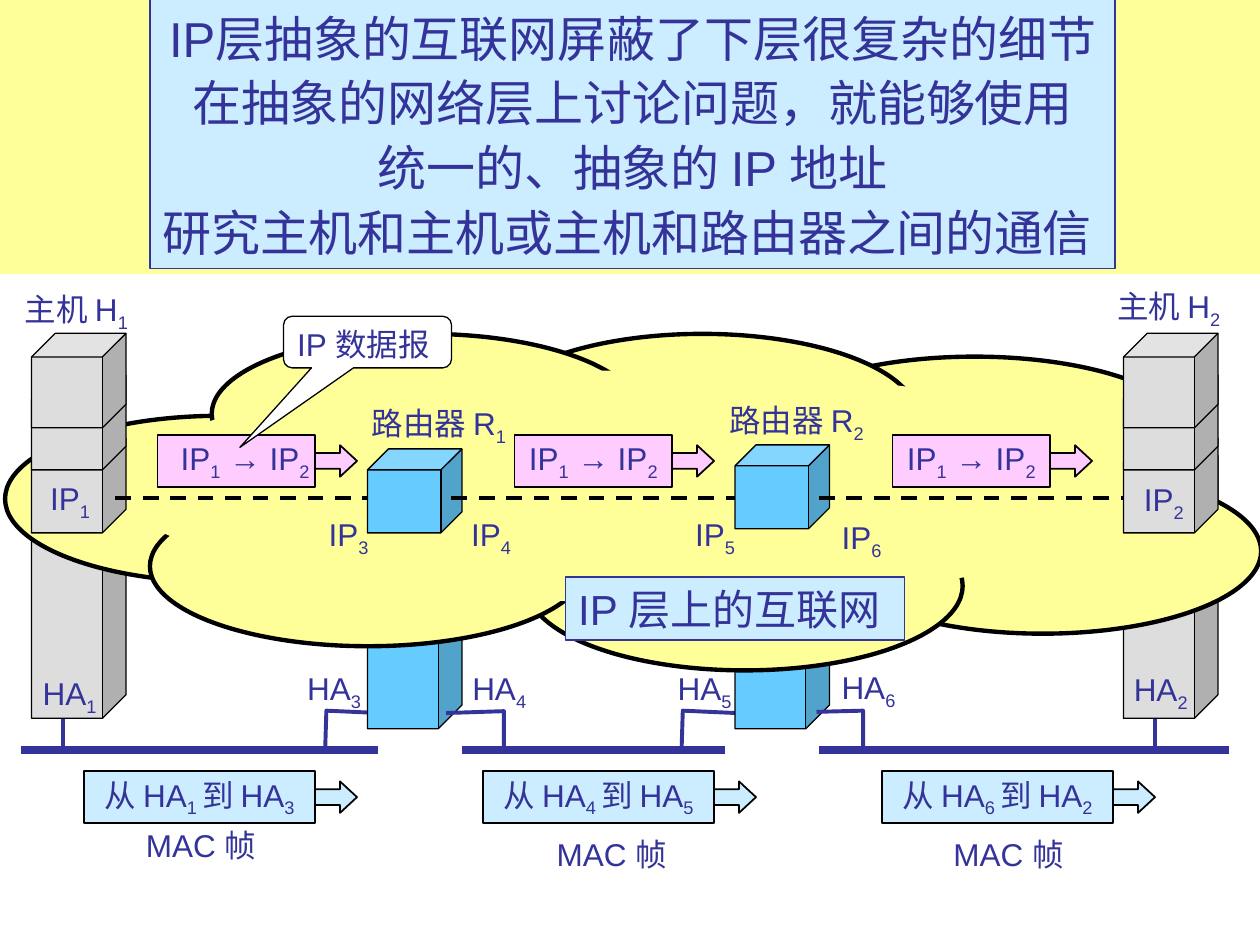
from lxml import etree
from pptx import Presentation
from pptx.dml.color import RGBColor
from pptx.enum import dml, shapes, text
from pptx.oxml import ns
from pptx.util import Pt

COLORS = {
    "ink": "333399", "black": "000000", "white": "FFFFFF", "grey": "DDDDDD",
    "router": "66CCFF", "cloud": "FFFF99", "packet": "FFCCFF", "frame": "CCECFF",
}
SHAPE = shapes.MSO_SHAPE
NO_FIT = text.MSO_AUTO_SIZE.NONE
TOP, MIDDLE = text.MSO_ANCHOR.TOP, text.MSO_ANCHOR.MIDDLE
LEFT, CENTER = text.PP_ALIGN.LEFT, text.PP_ALIGN.CENTER
CUBE_WIDTH = 54
WIRE_Y = 428.4
PATH_Y = 284.4

TITLE_LINES = [
    "IP层抽象的互联网屏蔽了下层很复杂的细节",
    "在抽象的网络层上讨论问题，就能够使用",
    "统一的、抽象的 IP 地址",
    "研究主机和主机或主机和路由器之间的通信 ",
]
HOSTS = [18, 642]
ROUTERS = [(210, 256.5, 266.4, 150), (420, 254.2, 284.4, 132)]
CLOUD_PUFFS = [
    (470.9, 267.8, 249.8, 94.3), (2.9, 237.6, 245.5, 95),
    (432, 203.8, 249.8, 91.4), (301, 286.6, 249.1, 96.5),
    (85.7, 277.9, 249.1, 91.4), (278.6, 190.8, 245.5, 95),
    (121, 190.8, 244.8, 91.4),
]
CLOUD_CENTER = (68.4, 211.7, 595.4, 132.5)
HOST_TAPS = [36, 660]
LEFT_TAPS = [
    [(185.8, WIRE_Y), (186.5, 406.1), (217.4, 407.5)],
    [(389.5, WIRE_Y), (390.2, 406.1), (421.2, 407.5)],
]
RIGHT_TAPS = [
    [(288, WIRE_Y), (288, 406.4), (254.9, 407.5)],
    [(493.2, WIRE_Y), (493.2, 406.1), (466.6, 406.8)],
]
WIRES = [(12, 216), (264, 414), (468, 702)]
DASHES = [(66, 216), (258, 420), (468, 642)]
LABELS = {
    (36.7, 31.7): [
        ("IP|1", 21.6, 270), ("IP|2", 646.6, 270.7), ("IP|3", 180.7, 290.9),
        ("IP|4", 262.1, 290.9), ("IP|5", 390.2, 290.9), ("IP|6", 473.8, 292.3),
    ],
    (45.4, 31.7): [
        ("HA|1", 17.3, 381.6), ("HA|2", 640.8, 379.4), ("HA|3", 168.5, 378.7),
        ("HA|4", 262.8, 378.7), ("HA|5", 380.2, 378.7), ("HA|6", 473.8, 378),
    ],
    (77, 31.7): [("主机 H|1", 7.2, 162), ("主机 H|2", 631.4, 160.6)],
    (95, 31.7): [("路由器 R|1", 205.2, 227.5), ("路由器 R|2", 409.7, 225.4)],
    (81.4, 28.8): [
        ("MAC 帧", 76.3, 468.7), ("MAC 帧", 311, 473.8), ("MAC 帧", 537.8, 473.8),
    ],
}
PACKETS = [(90, 17.2), (294, 7.2), (510, 7.2)]
FRAMES = [(48, 1, 3), (276, 4, 5), (504, 6, 2)]


def apply_format(target, values):
    for name, value in values.items():
        setattr(target, name, value)


def color(name):
    return RGBColor.from_string(COLORS[name])


def paint(shape, fill, line=None, width=0.75):
    if fill:
        shape.fill.solid()
        shape.fill.fore_color.rgb = color(fill)
    else:
        shape.fill.background()
    if line:
        shape.line.color.rgb = color(line)
        shape.line.width = Pt(width)
    else:
        shape.line.fill.background()


def write(shape, lines, frame_format, paragraph_format, size=18):
    frame = shape.text_frame
    apply_format(frame, {"word_wrap": False, "auto_size": NO_FIT, **frame_format})
    for index, line in enumerate(lines):
        paragraph = frame.add_paragraph() if index else frame.paragraphs[0]
        apply_format(paragraph, paragraph_format)
        for part, content in enumerate(line.split("|")):
            run = paragraph.add_run()
            run.text = content
            apply_format(run.font, {"name": "Arial", "size": Pt(size), "bold": False})
            run.font.color.rgb = color("ink")
            if part % 2:
                run._r.get_or_add_rPr().set("baseline", "-25000")


def add_block(parent, kind, box, fill, line=None, width=0.75, adjustments=()):
    shape = parent.shapes.add_shape(kind, *map(Pt, box))
    shape.shadow.inherit = False
    for index, value in enumerate(adjustments):
        shape.adjustments[index] = value
    paint(shape, fill, line, width)
    return shape


def add_cube(slide, box, fill):
    add_block(slide, SHAPE.CUBE, box, fill, "black", adjustments=[0.25])


def add_line(slide, start, end, name, width, dash=None):
    connector = slide.shapes.add_connector(
        shapes.MSO_CONNECTOR.STRAIGHT, *map(Pt, start + end))
    connector.line.color.rgb = color(name)
    apply_format(connector.line, {"width": Pt(width), "dash_style": dash})
    etree.SubElement(connector._element.spPr, ns.qn("a:effectLst"))


def add_tap(slide, points):
    start, *rest = [(Pt(x), Pt(y)) for x, y in points]
    builder = slide.shapes.build_freeform(*start)
    builder.add_line_segments(rest, close=False)
    tap = builder.convert_to_shape()
    tap.shadow.inherit = False
    paint(tap, None, "ink", 2.25)


def add_label(slide, content, box):
    label = slide.shapes.add_textbox(*map(Pt, box))
    write(label, [content], {"word_wrap": True, "margin_right": Pt(0)},
          {"alignment": LEFT})


def add_message(slide, content, left, top, width, fill, margin=7.2):
    group = slide.shapes.add_group_shape()
    body = add_block(group, SHAPE.RECTANGLE, (left, top, width, 30), fill, "black", 1)
    write(body, [content],
          {"vertical_anchor": MIDDLE, "margin_left": Pt(margin)}, {"alignment": CENTER})
    add_block(group, SHAPE.RIGHT_ARROW, (left + width, top + 6, 24, 18),
              fill, "black", 1, [0.5, 0.54])


def add_cloud(slide):
    group = slide.shapes.add_group_shape()
    for puff in CLOUD_PUFFS:
        add_block(group, SHAPE.OVAL, puff, "cloud", "black", 2.5)
    add_block(group, SHAPE.OVAL, CLOUD_CENTER, "cloud")


def add_lower_stacks(slide):
    for points in LEFT_TAPS:
        add_tap(slide, points)
    for x in HOST_TAPS:
        add_line(slide, (x, WIRE_Y), (x, 386.6), "ink", 2.25)
    for left in HOSTS:
        add_cube(slide, (left, 260.5, CUBE_WIDTH, 150), "grey")
    for left, _, top, height in ROUTERS:
        add_cube(slide, (left, top, CUBE_WIDTH, height), "router")


def add_network_layer(slide):
    for left in HOSTS:
        for top in (250.5, 214.5, 190.5):
            add_cube(slide, (left, top, CUBE_WIDTH, 54), "grey")
    for index, (start, end) in enumerate(DASHES):
        add_line(slide, (start, PATH_Y), (end, PATH_Y), "black", 2.25,
                 dml.MSO_LINE.DASH)
        if index < len(ROUTERS):
            left, top, *_ = ROUTERS[index]
            add_cube(slide, (left, top, CUBE_WIDTH, 48), "router")


def add_title(slide):
    add_block(slide, SHAPE.RECTANGLE, (0, 0, 720, 156.7), "cloud")
    title = slide.shapes.title
    apply_format(title, {"left": Pt(85.7), "top": Pt(-2.2),
                         "width": Pt(551.5), "height": Pt(155.5)})
    paint(title, "frame", "ink")
    write(title, TITLE_LINES,
          {"vertical_anchor": TOP, "margin_left": Pt(3), "margin_right": Pt(3)},
          {"alignment": CENTER, "line_spacing": 1.1}, 28)
    slide.shapes._spTree.append(title._element)


def main():
    presentation = Presentation()
    apply_format(presentation, {"slide_width": Pt(720), "slide_height": Pt(540)})
    slide = presentation.slides.add_slide(presentation.slide_layouts[5])
    add_lower_stacks(slide)
    add_cloud(slide)
    for start, end in WIRES:
        add_line(slide, (start, WIRE_Y), (end, WIRE_Y), "ink", 4.5)
    add_network_layer(slide)
    for points in RIGHT_TAPS:
        add_tap(slide, points)
    for size, labels in LABELS.items():
        for content, left, top in labels:
            add_label(slide, content, (left, top, *size))
    banner = add_block(slide, SHAPE.RECTANGLE, (323.3, 329.8, 193.7, 36), "frame", "ink")
    write(banner, ["IP 层上的互联网"],
          {"word_wrap": True, "vertical_anchor": TOP, "margin_right": Pt(0)},
          {"alignment": LEFT}, 24)
    for left, margin in PACKETS:
        add_message(slide, "IP|1| → IP|2", left, 248.4, 90, "packet", margin)
    for left, source, target in FRAMES:
        add_message(slide, f"从 HA|{source} |到 HA|{target}", left, 440.5, 132, "frame")
    add_block(slide, SHAPE.ROUNDED_RECTANGULAR_CALLOUT, (162, 180.7, 96, 29.5),
              "white", "black", adjustments=[-0.76, 2.04, 0.17])
    add_label(slide, "IP 数据报", (162.7, 182.2, 94.3, 28.8))
    add_title(slide)
    presentation.save("out.pptx")


if __name__ == "__main__":
    main()
